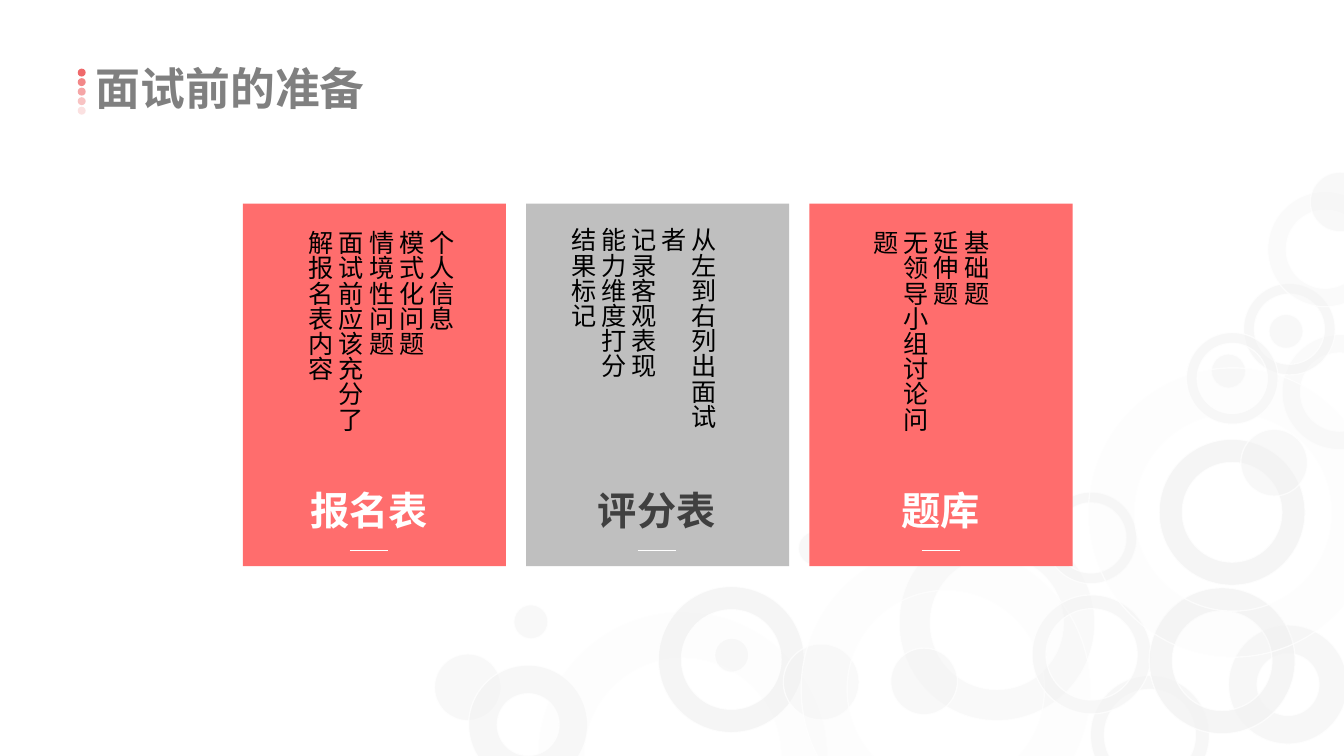
"""Build the interview preparation slide with three cards."""
from dataclasses import dataclass

from pptx import Presentation
from pptx.dml.color import RGBColor
from pptx.enum.shapes import MSO_CONNECTOR, MSO_SHAPE
from pptx.enum.text import MSO_ANCHOR, MSO_AUTO_SIZE, PP_ALIGN
from pptx.oxml.ns import qn
from pptx.util import Cm, Pt
from lxml.etree import SubElement


@dataclass(frozen=True)
class Theme:
    font: str = "Calibri"
    white: str = "FFFFFF"
    black: str = "000000"
    coral: str = "FF6D6D"
    silver: str = "BFBFBF"
    charcoal: str = "404040"
    heading: str = "808080"
    dot: str = "EF696B"
    bubble: str = "F2F2F2"
    title_size: int = 32
    caption_size: int = 28
    body_size: int = 18


theme = Theme()


def add_shape(kind, left, top, width, height, color, alpha=100):
    s = slide.shapes.add_shape(kind, Cm(left), Cm(top), Cm(width), Cm(height))
    s.shadow.inherit = False
    s.fill.solid()
    s.fill.fore_color.rgb = RGBColor.from_string(color)
    s.line.fill.background()
    if alpha < 100:
        clr = s.element.spPr.find(qn("a:solidFill"))[0]
        SubElement(clr, qn("a:alpha")).set("val", str(alpha * 1000))
    return s


def add_text(p, text, size, color, bold=False):
    r = p.add_run()
    r.text = text
    r.font.name = theme.font
    r.font.size = Pt(size)
    r.font.bold = bold
    r.font.color.rgb = RGBColor.from_string(color)


prs = Presentation()
prs.slide_width, prs.slide_height = Cm(33.87), Cm(19.05)
slide = prs.slides.add_slide(prs.slide_layouts[5])

bubble_kinds = {
    "ring": (3.68, 0.159, 75),
    "pale ring": (2.9, 0.159, 31),
    "wide ring": (4.93, 0.159, 42),
    "huge ring": (7.29, 0.159, 13),
    "thin ring": (3, 0.117, 54),
    "small ring": (2.31, 0.117, 54),
    "thick ring": (3, 0.24, 54),
    "tiny disc": (0.86, None, 47),
    "small disc": (1.5, None, 47),
    "disc": (1.68, None, 47),
    "large disc": (1.91, None, 39),
}
bubbles = [
    ("ring", 29.21, 11.07), ("pale ring", 32.31, 8.43),
    ("huge ring", 13.56, 15.42), ("thin ring", 27.48, 17.02),
    ("small ring", 31.34, 7.14), ("disc", 31.27, 10.82),
    ("tiny disc", 30.53, 8.92), ("wide ring", 22.66, 13.23),
    ("ring", 16.59, 14.78), ("large disc", 19.74, 16.23),
    ("huge ring", 20.19, 13.72), ("thin ring", 26.01, 14.99),
    ("small ring", 26.34, 12.4), ("thick ring", 30.96, 15.75),
    ("tiny disc", 20.12, 13.39), ("disc", 10.95, 16.48),
    ("tiny disc", 18.01, 16.08), ("ring", 28.96, 14.81),
    ("pale ring", 31.95, 4.83), ("small disc", 33.02, 4.34),
    ("huge ring", 27.43, 9.27), ("small ring", 29.9, 8.38),
    ("thick ring", 11.81, 16.76), ("tiny disc", 31.98, 7.92),
    ("disc", 22.45, 16.33), ("tiny disc", 12.95, 15.24),
]
for kind, left, top in bubbles:
    size, hole, alpha = bubble_kinds[kind]
    preset = MSO_SHAPE.DONUT if hole else MSO_SHAPE.OVAL
    s = add_shape(preset, left, top, size, size, theme.bubble, alpha)
    if hole:
        s.adjustments[0] = hole
    s.line.color.rgb = RGBColor.from_string(theme.white)
    s.line.width = Pt(1)
    clr = s.line.fill.fore_color and s.element.spPr.find(qn("a:ln")).find(qn("a:solidFill"))[0]
    SubElement(clr, qn("a:alpha")).set("val", "70000")

title = slide.shapes.title
title.left, title.top, title.width, title.height = Cm(2.16), Cm(1.4), Cm(7.34), Cm(1.63)
tf = title.text_frame
tf.word_wrap = False
tf.auto_size = MSO_AUTO_SIZE.NONE
tf.vertical_anchor = MSO_ANCHOR.TOP
p = tf.paragraphs[0]
p.alignment = PP_ALIGN.LEFT
add_text(p, "面试前的准备", theme.title_size, theme.heading, True)

for i in range(5):
    add_shape(MSO_SHAPE.OVAL, 1.96, 1.73 + 0.24 * i, 0.2, 0.2, theme.dot, 100 - 20 * i)

cards = [
    ("报名表", theme.coral, theme.white, 9.3, (7.26, 5.56, 4.37),
     ["个人信息", "模式化问题", "情境性问题", "面试前应该充分了解报名表内容"]),
    ("评分表", theme.silver, theme.charcoal, 16.55, (14.66, 5.49, 3.58),
     ["从左到右列出面试者", "记录客观表现", "能力维度打分", "结果标记"]),
    ("题库", theme.coral, theme.white, 23.71, (22.28, 5.56, 2.82),
     ["基础题", "延伸题", "无领导小组讨论问题"]),
]
for i, (caption, fill, color, center, (left, top, width), items) in enumerate(cards):
    add_shape(MSO_SHAPE.RECTANGLE, 6.12 + 7.14 * i, 5.13, 6.63, 9.14, fill)

    tf = slide.shapes.add_textbox(Cm(center - 1.75), Cm(12.14), Cm(3.5), Cm(1.45)).text_frame
    tf.word_wrap = False
    p = tf.paragraphs[0]
    p.alignment = PP_ALIGN.CENTER
    add_text(p, caption, theme.caption_size, color, True)

    s = slide.shapes.add_connector(
        MSO_CONNECTOR.STRAIGHT, Cm(center - 0.48), Cm(13.87), Cm(center + 0.48), Cm(13.87))
    s.line.color.rgb = RGBColor.from_string(theme.white)
    s.line.width = Pt(1)
    SubElement(s.element.spPr, qn("a:effectLst"))

    tf = slide.shapes.add_textbox(Cm(left), Cm(top), Cm(width), Cm(6.15)).text_frame
    tf.word_wrap = True
    tf.auto_size = MSO_AUTO_SIZE.SHAPE_TO_FIT_TEXT
    tf.paragraphs[0].line_spacing = None
    s = tf._txBody.find(qn("a:bodyPr"))
    s.set("vert", "eaVert")
    for n, item in enumerate(items):
        p = tf.add_paragraph() if n else tf.paragraphs[0]
        add_text(p, item, theme.body_size, theme.black)

prs.save("out.pptx")
